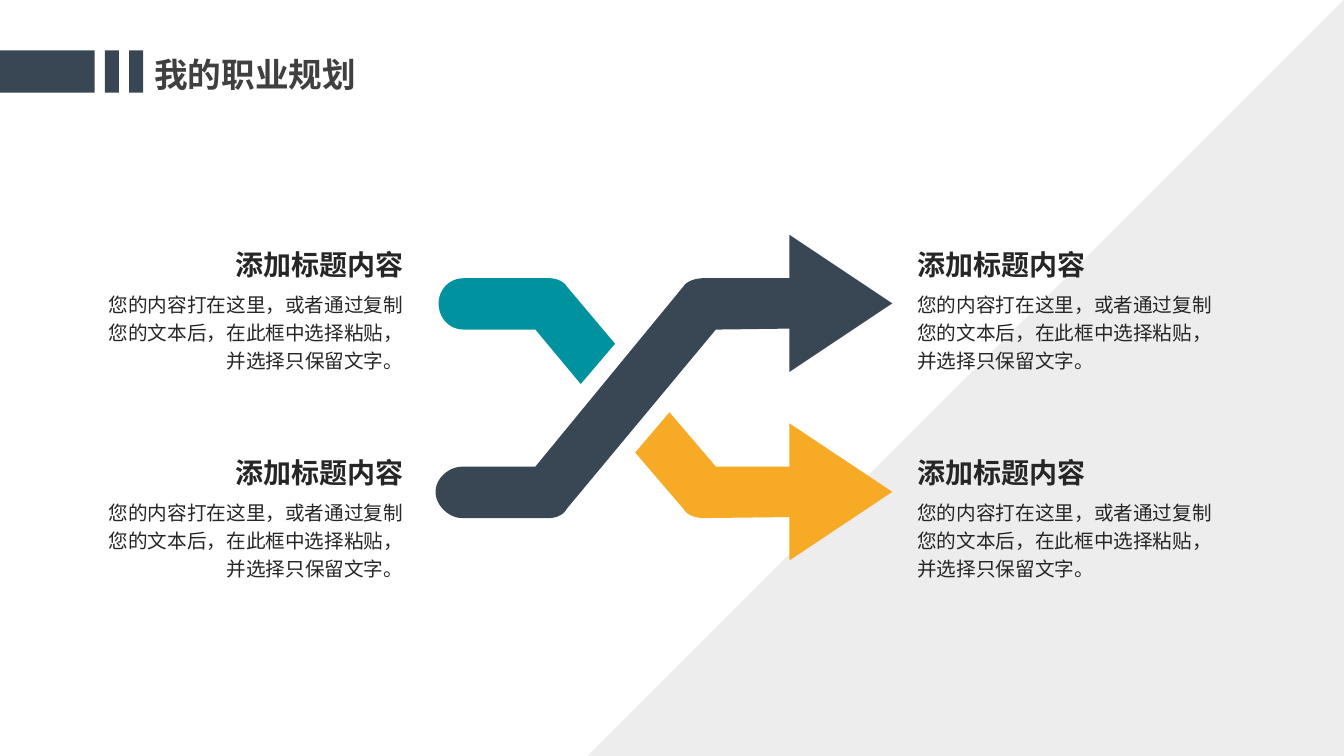
"""Build a career plan slide with two crossing arrows and four text blocks."""
import pptx
import pptx.util
import pptx.dml.color
import pptx.enum.shapes
import pptx.enum.text
import pptx.oxml
import pptx.oxml.ns

TITLE = "我的职业规划"
HEAD = "添加标题内容"
BODY = "您的内容打在这里，或者通过复制您的文本后，在此框中选择粘贴，并选择只保留文字。"
BLOCKS = [[(HEAD, BODY), (HEAD, BODY)], [(HEAD, BODY), (HEAD, BODY)]]
COLORS = {"navy": "394754", "teal": "00939F", "gold": "F6AA26",
          "pale": "E7E6E6", "title": "404040", "text": "262626"}
CJK = "Noto Sans CJK SC"
WIDE, HIGH = 13.33, 7.5
BARS = [(0, 0.94), (1.04, 0.14), (1.28, 0.14)]
TOP, STEP = 2.34, 2.06
UP, DOWN = 3.01, 4.88
HALF, WING = 0.25, 0.68
NECK, TIP = 7.83, 8.85
ALIGN = pptx.enum.text.PP_ALIGN
SHAPE = pptx.enum.shapes.MSO_SHAPE
inch = pptx.util.Inches


def tip(y):
    """Return the outline of an arrowhead centred on y, from top to bottom."""
    return [(NECK, y - HALF), (NECK, y - WING), (TIP, y),
            (NECK, y + WING), (NECK, y + HALF)]


ARROWS = [
    ("gold", [(6.64, 4.09), (7.1, 4.63), *tip(DOWN), (6.98, 5.14),
              (6.9, 5.14, 6.81, 5.11, 6.78, 5.05), (6.3, 4.49)]),
    ("teal", [(5.45, 2.76), (4.6, 2.76),
              (4.46, 2.76, 4.35, 2.87, 4.35, 3.01),
              (4.35, 3.16, 4.46, 3.27, 4.6, 3.27),
              (5.31, 3.27), (5.76, 3.81), (6.1, 3.41), (5.62, 2.84),
              (5.59, 2.79, 5.51, 2.76, 5.45, 2.76)]),
    ("navy", [(5.31, 4.63), (4.58, 4.63),
              (4.46, 4.63, 4.32, 4.74, 4.32, 4.88),
              (4.32, 5.02, 4.46, 5.14, 4.58, 5.14), (5.45, 5.14),
              (5.51, 5.14, 5.59, 5.11, 5.62, 5.05), (7.1, 3.27),
              *reversed(tip(UP)), (6.98, 2.76),
              (6.9, 2.76, 6.81, 2.79, 6.78, 2.84)]),
]


def trace(steps):
    """Turn points and Bezier curves into a plain list of points."""
    pts = []
    for step in steps:
        if len(step) == 2:
            pts.append(step)
            continue
        ends = (pts[-1], step[:2], step[2:4], step[4:])
        for n in range(1, 13):
            t = n / 12
            mix = ((1 - t) ** 3, 3 * t * (1 - t) ** 2,
                   3 * t * t * (1 - t), t ** 3)
            pts.append(tuple(sum(m * p[k] for m, p in zip(mix, ends))
                             for k in (0, 1)))
    return [(inch(x), inch(y)) for x, y in pts]


def paint(shape, name):
    """Give a shape a flat fill with no line or shadow."""
    shape.shadow.inherit = False
    shape.fill.solid()
    shape.fill.fore_color.rgb = pptx.dml.color.RGBColor.from_string(COLORS[name])
    shape.line.fill.background()


def write(shape, text, size, bold, align, color="text", face=CJK, gap=1.2):
    """Fill a shape with one formatted paragraph."""
    shape.text_frame.text = text
    para = shape.text_frame.paragraphs[0]
    para.alignment, para.line_spacing = align, gap
    font = para.runs[0].font
    font.size, font.bold, font.name = pptx.util.Pt(size), bold, face
    font.color.rgb = pptx.dml.color.RGBColor.from_string(COLORS[color])
    east = pptx.oxml.parse_xml(
        f'<a:ea {pptx.oxml.ns.nsdecls("a")} typeface="{CJK}"/>')
    para.runs[0]._r.rPr.find(pptx.oxml.ns.qn("a:latin")).addnext(east)


def main():
    """Draw the slide and save it."""
    deck = pptx.Presentation()
    deck.slide_width, deck.slide_height = inch(WIDE), inch(HIGH)
    slide = deck.slides.add_slide(deck.slide_layouts[5])
    shapes = slide.shapes

    wedge = shapes.add_shape(SHAPE.RIGHT_TRIANGLE, inch(WIDE - HIGH), 0,
                             inch(HIGH), inch(HIGH))
    paint(wedge, "pale")
    wedge._element.spPr.xfrm.set("flipH", "1")
    tint = wedge._element.spPr.find(".//" + pptx.oxml.ns.qn("a:srgbClr"))
    tint.append(pptx.oxml.parse_xml(
        f'<a:alpha {pptx.oxml.ns.nsdecls("a")} val="70000"/>'))

    for left, width in BARS:
        bar = shapes.add_shape(SHAPE.RECTANGLE, inch(left), inch(0.5),
                               inch(width), inch(0.42))
        paint(bar, "navy")

    title = shapes.title
    title.left, title.top = inch(1.42), inch(0.48)
    title.width, title.height = inch(2.22), inch(0.5)
    write(title, TITLE, 24, True, ALIGN.CENTER, "title", "Arial", 1)
    title.text_frame.word_wrap = False
    title.text_frame.auto_size = pptx.enum.text.MSO_AUTO_SIZE.NONE
    title.text_frame.vertical_anchor = pptx.enum.text.MSO_ANCHOR.TOP

    for name, steps in ARROWS:
        pts = trace(steps)
        pen = shapes.build_freeform(*pts[0])
        pen.add_line_segments(pts[1:], close=True)
        paint(pen.convert_to_shape(), name)

    sides = [(4.1, 1, ALIGN.RIGHT), (9, 0, ALIGN.LEFT)]
    for row, pair in enumerate(BLOCKS):
        y = TOP + row * STEP
        for (edge, back, align), (head, body) in zip(sides, pair):
            parts = [(head, y, 2.58, 0.47, 20, True),
                     (body, y + 0.47, 3.27, 0.95, 14, False)]
            for text, top, width, height, size, bold in parts:
                box = shapes.add_textbox(inch(edge - back * width), inch(top),
                                         inch(width), inch(height))
                box.text_frame.word_wrap = True
                write(box, text, size, bold, align)

    deck.save("out.pptx")


if __name__ == "__main__":
    main()
